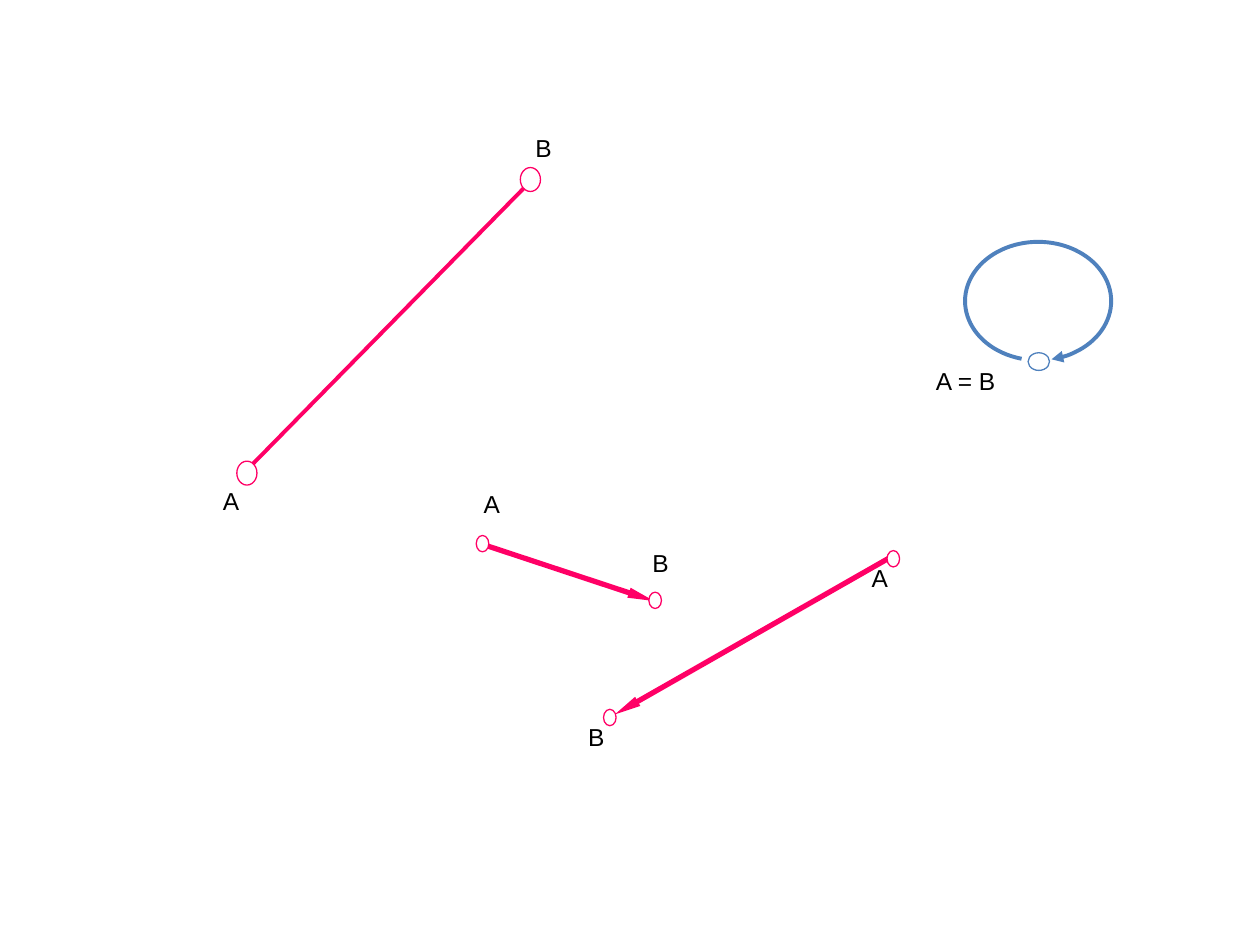
"""Build a slide of vectors from A to B and a closed path where A equals B."""
import pptx
import pptx.dml.color
import pptx.enum.shapes
import pptx.oxml
import pptx.oxml.ns
import pptx.util

Inches = pptx.util.Inches
COLORS = {"vector": "FF0066", "loop": "4F81BD", "point": "FFFFFF", "text": "000000"}
LABEL_FONT = {"name": "Arial", "size": pptx.util.Pt(14), "bold": False}


def rgb(name):
    return pptx.dml.color.RGBColor.from_string(COLORS[name])


def style_line(shape, color, width, arrow=None):
    shape.line.color.rgb = rgb(color)
    shape.line.width = pptx.util.Pt(width)
    if arrow:
        tail = pptx.oxml.parse_xml(f'<a:tailEnd {pptx.oxml.ns.nsdecls("a")} type="triangle"/>')
        for key, value in arrow.items():
            tail.set(key, value)
        shape.line._get_or_add_ln().append(tail)


presentation = pptx.Presentation()
presentation.slide_width = Inches(10)
presentation.slide_height = Inches(7.5)
slide = presentation.slides.add_slide(presentation.slide_layouts[6])

slim_arrow = {"w": "sm", "len": "lg"}
vectors = [
    (1.94, 3.75, 4.21, 1.44, 2.25, None),
    (3.86, 4.33, 5.19, 4.77, 3, slim_arrow),
    (7.09, 4.41, 4.88, 5.67, 3, slim_arrow),
]
for *ends, width, arrow in vectors:
    connector = slide.shapes.add_connector(
        pptx.enum.shapes.MSO_CONNECTOR.STRAIGHT, *map(Inches, ends))
    connector.element.spPr.append(
        pptx.oxml.parse_xml(f'<a:effectLst {pptx.oxml.ns.nsdecls("a")}/>'))
    style_line(connector, "vector", width, arrow)

loop = slide.shapes.add_shape(
    pptx.enum.shapes.MSO_SHAPE.ARC, Inches(7.66), Inches(1.92), Inches(1.16), Inches(0.94))
loop.shadow.inherit = False
loop.fill.background()
for index, degrees in enumerate((106, 77)):
    loop.adjustments[index] = degrees * 0.6
style_line(loop, "loop", 2.25, {"w": "med", "len": "med"})

large, small = (0.16, 0.19), (0.1, 0.13)
points = [
    (1.88, 3.66, large, "vector"),
    (4.13, 1.33, large, "vector"),
    (4.79, 5.63, small, "vector"),
    (5.15, 4.7, small, "vector"),
    (3.78, 4.25, small, "vector"),
    (7.04, 4.37, small, "vector"),
    (8.16, 2.8, (0.17, 0.14), "loop"),
]
for left, top, size, color in points:
    point = slide.shapes.add_shape(
        pptx.enum.shapes.MSO_SHAPE.OVAL, Inches(left), Inches(top), *map(Inches, size))
    point.shadow.inherit = False
    point.fill.solid()
    point.fill.fore_color.rgb = rgb("point")
    style_line(point, color, 0.75)

labels = [
    ("A", 1.67, 3.81, 0.98, 1.01),
    ("B", 4.15, 1.01, 0.93, 1.01),
    ("A", 3.74, 3.83, 0.43, 0.54),
    ("A", 6.82, 4.42, 0.62, 0.7),
    ("B", 5.08, 4.3, 0.48, 0.54),
    ("B", 4.57, 5.68, 0.62, 0.7),
    ("A = B", 7.33, 2.86, 1.92, 0.74),
]
for text, *box in labels:
    label = slide.shapes.add_textbox(*map(Inches, box))
    label.text_frame.word_wrap = True
    paragraph = label.text_frame.paragraphs[0]
    run = paragraph.add_run()
    run.text = text
    for attribute, value in LABEL_FONT.items():
        setattr(run.font, attribute, value)
    run.font.color.rgb = rgb("text")

presentation.save("out.pptx")
